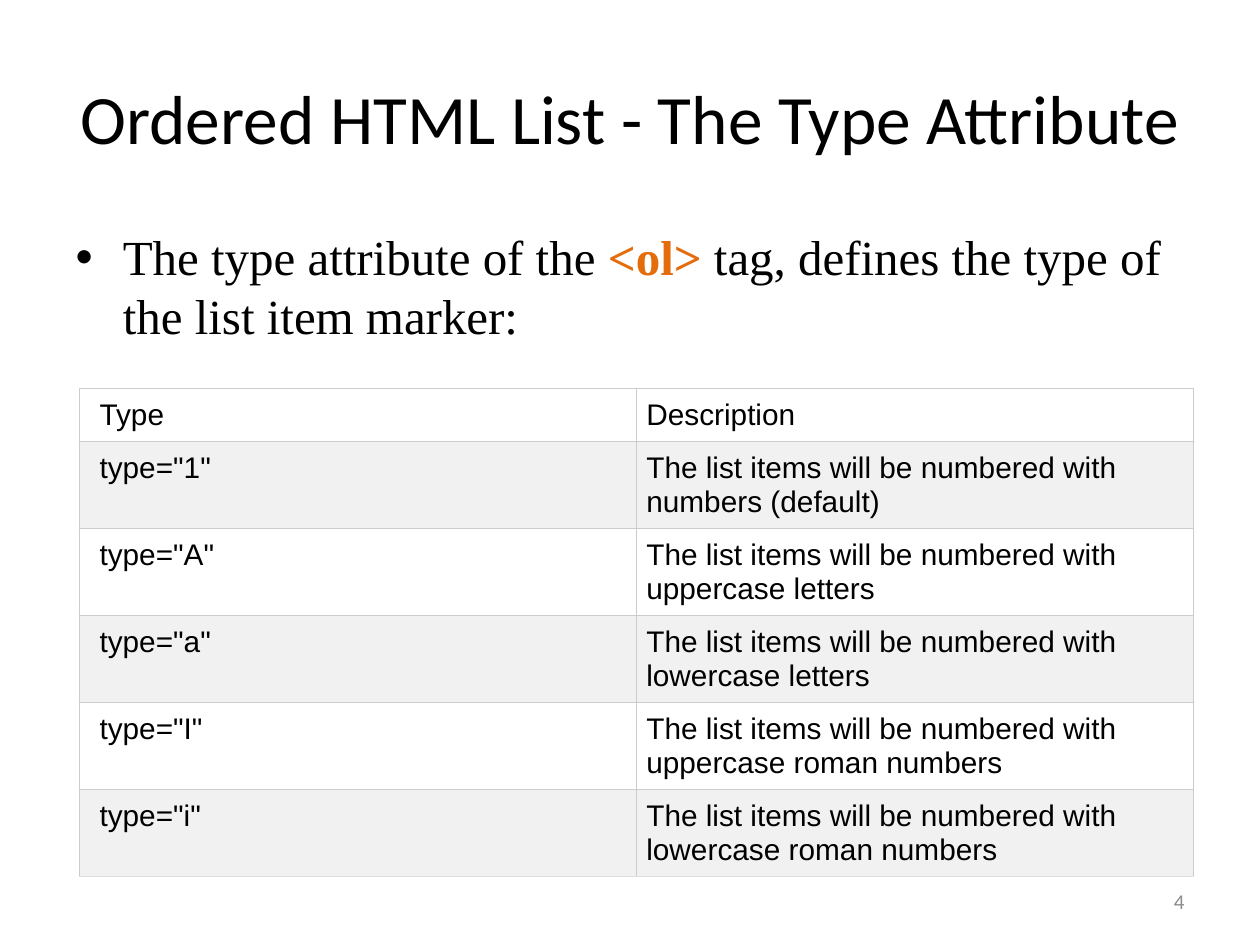
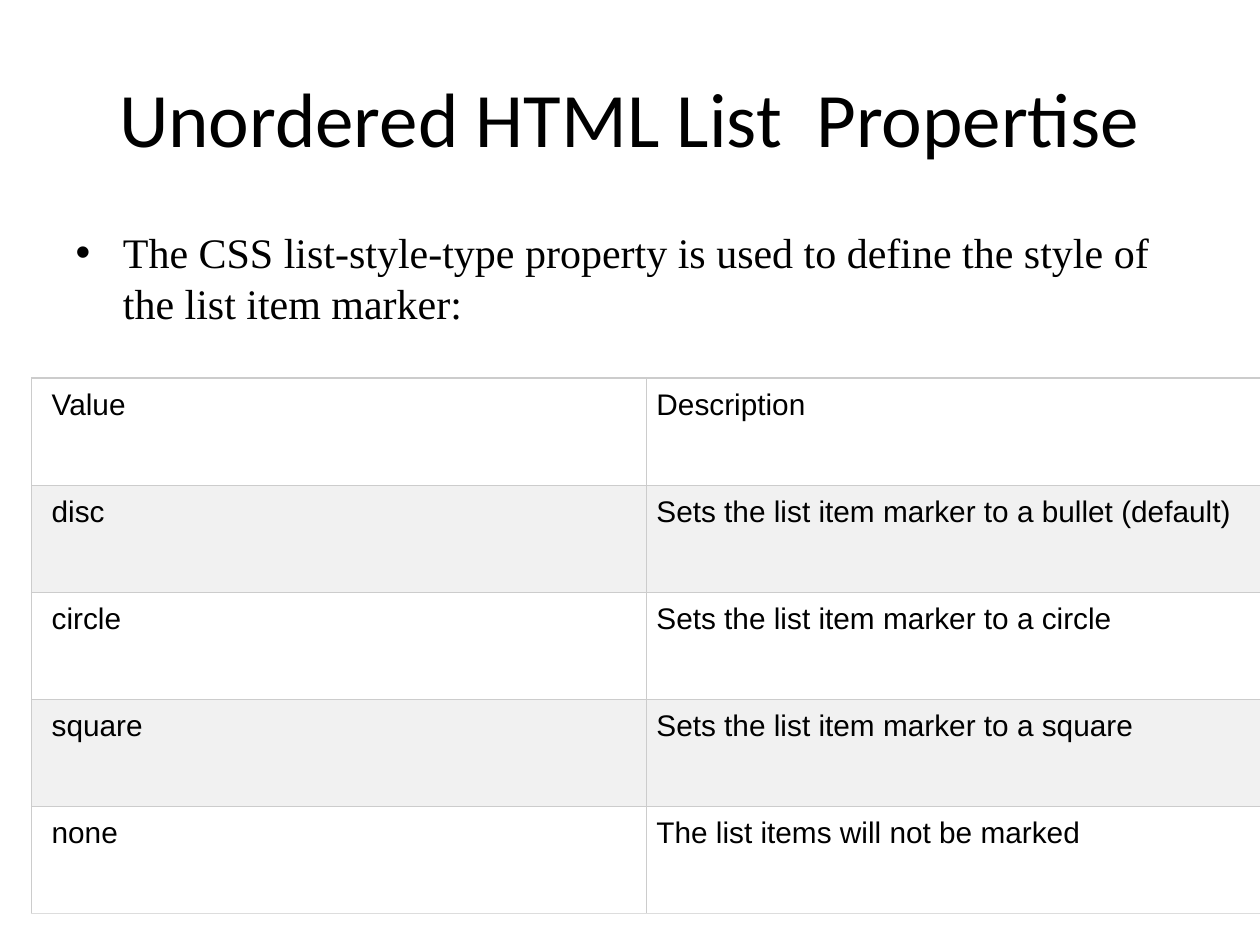
import pptx
import pptx.util
import pptx.dml.color
import pptx.enum.text
import pptx.oxml
import pptx.oxml.ns

Inches, Pt = pptx.util.Inches, pptx.util.Pt
ALIGN = pptx.enum.text.PP_ALIGN
ANCHOR = pptx.enum.text.MSO_ANCHOR

# Content
SLIDES = [
    dict(
        title="Ordered HTML List - The Type Attribute", title_size=39.6,
        body=["The type attribute of the ", "<ol>",
              " tag, defines the type of the list item marker:"],
        body_size=28, number="4",
        table_at=(0.63, 3.08), col_width=4.42, row_heights=[0.42] + [0.69] * 5,
        rows=[
            ("Type", "Description"),
            ('type="1"', "The list items will be numbered with numbers (default)"),
            ('type="A"', "The list items will be numbered with uppercase letters"),
            ('type="a"', "The list items will be numbered with lowercase letters"),
            ('type="I"', "The list items will be numbered with uppercase roman numbers"),
            ('type="i"', "The list items will be numbered with lowercase roman numbers"),
        ]),
    dict(
        title="Unordered HTML List  Propertise", title_size=44,
        body=["The CSS list-style-type property is used to define "
              "the style of the list item marker:"],
        body_size=24, number=None,
        table_at=(0.25, 3), col_width=4.88, row_heights=[0.85] * 5,
        rows=[
            ("Value", "Description"),
            ("disc", "Sets the list item marker to a bullet (default)"),
            ("circle", "Sets the list item marker to a circle"),
            ("square", "Sets the list item marker to a square"),
            ("none", "The list items will not be marked"),
        ]),
]

# Shared style
COLORS = dict(text="000000", tag="E46C0A", number="8C8C8C", plain="FFFFFF",
              band="F1F1F1", border="CCCCCC", last_border="DDDDDD")
TITLE_BOX = (0.5, 0.3, 9, 1.25)
BODY_BOX = (0.5, 1.75, 9, 4.95)
NUMBER_BOX = (7.17, 6.95, 2.33, 0.4)
PAD = 0.08


def rgb(name):
    return pptx.dml.color.RGBColor.from_string(COLORS[name])


def add_text(p, text, size, font="Calibri", color="text", bold=False, align=None):
    r = p.add_run()
    r.text = text
    r.font.size, r.font.name, r.font.bold = Pt(size), font, bold
    r.font.color.rgb = rgb(color)
    if align is not None:
        p.alignment = align


def place(sp, box, anchor):
    sp.left, sp.top, sp.width, sp.height = map(Inches, box)
    tf = sp.text_frame
    tf.word_wrap = True
    tf.auto_size = pptx.enum.text.MSO_AUTO_SIZE.NONE
    tf.vertical_anchor = anchor
    return tf.paragraphs[0]


def set_borders(cell, is_last):
    tcPr = cell._tc.get_or_add_tcPr()
    for i, side in enumerate("LRTB"):
        color = COLORS["last_border" if is_last and side == "B" else "border"]
        tcPr.insert(i, pptx.oxml.parse_xml(
            f'<a:ln{side} {pptx.oxml.ns.nsdecls("a")} w="{Pt(0.75)}"><a:solidFill>'
            f'<a:srgbClr val="{color}"/></a:solidFill></a:ln{side}>'))


def add_table(s, rows, at, col_width, row_heights):
    size = (2 * col_width, sum(row_heights))
    table = s.shapes.add_table(len(rows), 2, *map(Inches, at + size)).table
    for col in table.columns:
        col.width = Inches(col_width)
    for i, (row, height) in enumerate(zip(rows, row_heights)):
        table.rows[i].height = Inches(height)
        for j, text in enumerate(row):
            cell = table.cell(i, j)
            cell.margin_left = Inches(PAD if j else 2 * PAD)
            cell.margin_right = cell.margin_top = cell.margin_bottom = Inches(PAD)
            cell.fill.solid()
            cell.fill.fore_color.rgb = rgb("band" if i % 2 else "plain")
            set_borders(cell, i == len(rows) - 1)
            add_text(cell.text_frame.paragraphs[0], text, 17, font="Arial")


def build_slide(prs, c):
    s = prs.slides.add_slide(prs.slide_layouts[1])
    # Title and bullet
    p = place(s.shapes.title, TITLE_BOX, ANCHOR.MIDDLE)
    add_text(p, c["title"], c["title_size"], align=ALIGN.CENTER)
    p = place(s.placeholders[1], BODY_BOX, ANCHOR.TOP)
    for text in c["body"]:
        is_tag = text.startswith("<")
        add_text(p, text, c["body_size"], font="Times New Roman",
                 color="tag" if is_tag else "text", bold=is_tag)
    # Slide number
    if c["number"]:
        p = place(s.shapes.add_textbox(0, 0, 0, 0), NUMBER_BOX, ANCHOR.MIDDLE)
        add_text(p, c["number"], 12, color="number", align=ALIGN.RIGHT)
    # Table
    add_table(s, c["rows"], c["table_at"], c["col_width"], c["row_heights"])


def main():
    prs = pptx.Presentation()
    prs.slide_width, prs.slide_height = Inches(10), Inches(7.5)
    for content in SLIDES:
        build_slide(prs, content)
    prs.save("out.pptx")


if __name__ == "__main__":
    main()
